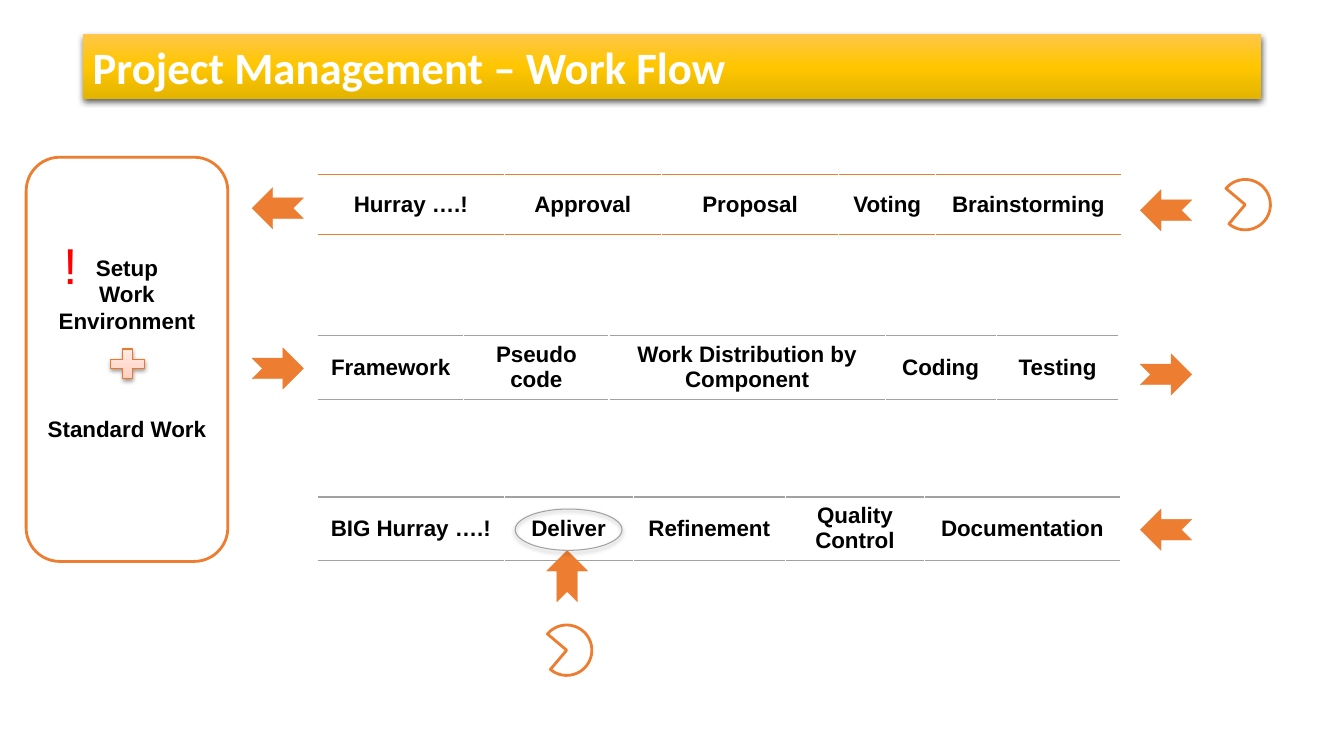
from lxml.etree import SubElement
from pptx import Presentation
from pptx.dml.color import RGBColor
from pptx.enum.shapes import MSO_SHAPE as Preset
from pptx.enum.text import MSO_ANCHOR as Anchor, PP_ALIGN as Align
from pptx.oxml import parse_xml
from pptx.oxml.ns import nsdecls, qn
from pptx.util import Inches, Pt

COLORS = {"orange": "ED7D31", "gray": "A1A1A1", "plus": "EC792B", "red": "FF0000",
          "black": "000000", "white": "FFFFFF"}
TITLE_STOPS = [(0, "FFC647"), (50, "FFC600"), (100, "E3B400")]
PLUS_STOPS = [(0, "FFC7B6"), (35, "FFD7CB"), (100, "FFF0EB")]
STAGES = [
    (1.73, 0.6, "orange", [("Hurray ….!", 1.85), ("Approval", 1.56), ("Proposal", 1.76),
                           ("Voting", 0.96), ("Brainstorming", 1.84)]),
    (3.33, 0.63, "gray", [("Framework", 1.45), ("Pseudo code", 1.44),
                          ("Work Distribution by Component", 2.74),
                          ("Coding", 1.1), ("Testing", 1.22)]),
    (4.93, 0.63, "gray", [("BIG Hurray ….!", 1.85), ("Deliver", 1.28), ("Refinement", 1.51),
                          ("Quality Control", 1.38), ("Documentation", 1.94)]),
]
ARROWS = [(2.5, 1.86, 180), (2.5, 3.45, 0), (11.31, 1.88, 180), (11.31, 3.51, 0),
          (11.31, 5.05, 180), (5.37, 5.51, 270)]
STARTS = [(12.1, 1.78), (5.37, 6.2)]


def color(name):
    """Return the named colour."""
    return RGBColor.from_string(COLORS[name])


def write(frame, text, size=16, font="Arial", ink="black", bold=True, align=Align.CENTER,
          anchor=Anchor.MIDDLE, spacing=None):
    """Write text into a frame, one paragraph a line."""
    frame.word_wrap = True
    frame.vertical_anchor = anchor
    frame.text = text
    for paragraph in frame.paragraphs:
        paragraph.alignment = align
        paragraph.line_spacing = spacing
        paragraph.font.size = Pt(size)
        paragraph.font.name = font
        paragraph.font.bold = bold
        paragraph.font.color.rgb = color(ink)


def add_preset(slide, preset, left, top, width, height, fill=None, line=None, weight=0.25,
               rotation=0):
    """Add a flat preset shape."""
    shape = slide.shapes.add_shape(preset, Inches(left), Inches(top), Inches(width),
                                   Inches(height))
    shape.shadow.inherit = False
    shape.rotation = rotation
    shape.fill.background()
    if fill:
        shape.fill.solid()
        shape.fill.fore_color.rgb = color(fill)
    shape.line.fill.background()
    if line:
        shape.line.color.rgb = color(line)
        shape.line.width = Pt(weight)
    return shape


def add_gradient(shape, stops, angle):
    """Replace the empty fill of a shape by a linear gradient."""
    marks = "".join(f'<a:gs pos="{position * 1000}"><a:srgbClr val="{value}"/></a:gs>'
                    for position, value in stops)
    gradient = parse_xml(f'<a:gradFill {nsdecls("a")} rotWithShape="1"><a:gsLst>{marks}</a:gsLst>'
                         f'<a:lin ang="{angle * 60000}" scaled="0"/></a:gradFill>')
    properties = shape.element.spPr
    properties.replace(properties.find(qn("a:noFill")), gradient)


def add_shadow(shape, opacity=38, blur=3.1, distance=1.6):
    """Give a shape a black shadow that falls downwards."""
    effects = shape.element.spPr.find(qn("a:effectLst"))
    shadow = SubElement(effects, qn("a:outerShdw"), blurRad=str(Pt(blur)), dist=str(Pt(distance)),
                        dir="5400000", algn="ctr", rotWithShape="0")
    ink = SubElement(shadow, qn("a:srgbClr"), val=COLORS["black"])
    SubElement(ink, qn("a:alpha"), val=str(opacity * 1000))


def add_stage(slide, top, height, border, steps):
    """Add a one-row table ruled above and below."""
    frame = slide.shapes.add_table(1, len(steps), Inches(3.15), Inches(top), Inches(7.95),
                                   Inches(height))
    table = frame.table
    table.first_row = table.horz_banding = False
    for index, (text, width) in enumerate(steps):
        table.columns[index].width = Inches(width)
        cell = table.cell(0, index)
        write(cell.text_frame, text)
        cell.vertical_anchor = Anchor.MIDDLE
        cell.fill.background()
        properties = cell._tc.get_or_add_tcPr()
        for position, side in enumerate(("lnT", "lnB")):
            properties.insert(position, parse_xml(
                f'<a:{side} {nsdecls("a")} w="{Pt(1)}"><a:solidFill>'
                f'<a:srgbClr val="{COLORS[border]}"/></a:solidFill></a:{side}>'))


def add_setup(slide):
    """Add the work environment panel with its plus and exclamation mark."""
    panel = add_preset(slide, Preset.ROUNDED_RECTANGLE, 0.26, 1.56, 2, 4.01, "white", "orange", 2)
    write(panel.text_frame, "Setup\nWork\nEnvironment\nStandard Work", spacing=Pt(19.2))
    panel.text_frame.margin_bottom = Inches(0.28)
    panel.text_frame.paragraphs[-1].space_before = Pt(57.6)
    plus = add_preset(slide, Preset.MATH_PLUS, 1.04, 3.41, 0.45, 0.4, line="plus", weight=0.75)
    add_gradient(plus, PLUS_STOPS, 270)
    add_shadow(plus)
    mark = slide.shapes.add_textbox(Inches(0.53), Inches(2.27), Inches(0.51), Inches(0.71))
    write(mark.text_frame, "!", size=36, ink="red", bold=False, align=Align.LEFT,
          anchor=Anchor.TOP)


def main():
    """Build the work flow slide."""
    presentation = Presentation()
    presentation.slide_width = Inches(13.33)
    presentation.slide_height = Inches(7.5)
    slide = presentation.slides.add_slide(presentation.slide_layouts[6])

    title = add_preset(slide, Preset.RECTANGLE, 0.82, 0.34, 11.69, 0.64)
    add_gradient(title, TITLE_STOPS, 90)
    add_shadow(title, opacity=63, blur=4.5, distance=1.5)
    write(title.text_frame, "Project Management – Work Flow", size=32, font="Calibri",
          ink="white", align=Align.LEFT, anchor=Anchor.TOP)

    for stage in STAGES:
        add_stage(slide, *stage)
    add_setup(slide)
    for left, top, rotation in ARROWS:
        add_preset(slide, Preset.NOTCHED_RIGHT_ARROW, left, top, 0.51, 0.41, "orange", "orange",
                   rotation=rotation)
    deliver_ring = add_preset(slide, Preset.OVAL, 5.11, 5.05, 1.06, 0.41, line="gray", weight=0.75)
    add_shadow(deliver_ring)
    for left, top in STARTS:
        add_preset(slide, Preset.PIE, left, top, 0.5, 0.5, "white", "orange", 2, rotation=220.2)
    presentation.save("out.pptx")


if __name__ == "__main__":
    main()
